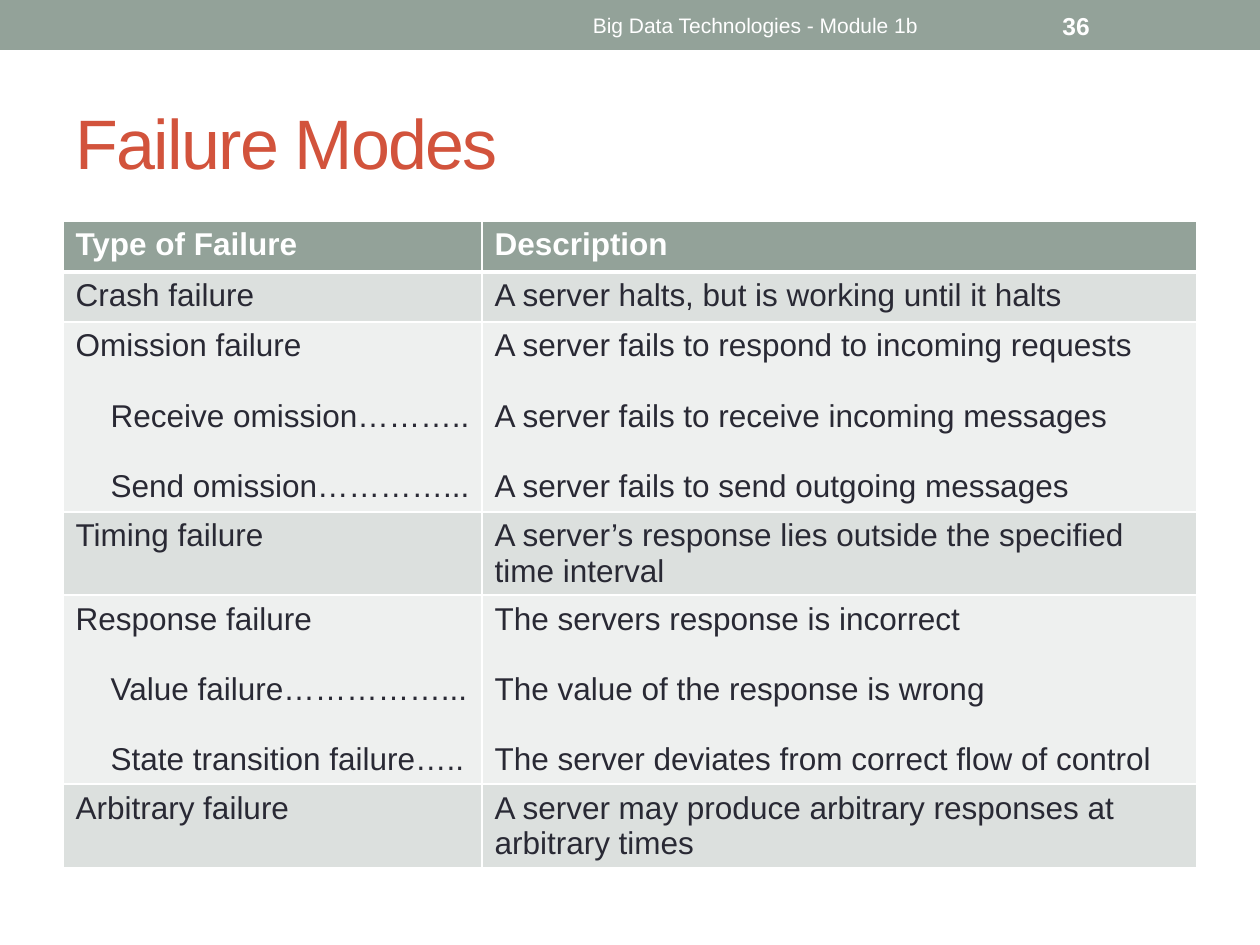
from dataclasses import dataclass

from lxml.etree import SubElement
from pptx import Presentation
from pptx.dml.color import RGBColor
from pptx.enum.shapes import MSO_SHAPE
from pptx.enum.text import MSO_ANCHOR, PP_ALIGN
from pptx.oxml.ns import qn
from pptx.util import Emu, Pt

SAGE, RUST, INK, WHITE = "93A299", "D2533C", "292934", "FFFFFF"
BANDS = ("DCE0DE", "EEF0EF")
COL_WIDTHS = (419, 715)


@dataclass
class Row:
    height: int
    modes: tuple[str, ...]
    descriptions: tuple[str, ...]


ROWS = (
    Row(51, ("Type of Failure",), ("Description",)),
    Row(50, ("Crash failure",), ("A server halts, but is working until it halts",)),
    Row(190,
        ("Omission failure", "Receive omission………..", "Send omission…………..."),
        ("A server fails to respond to incoming requests",
         "A server fails to receive incoming messages",
         "A server fails to send outgoing messages")),
    Row(83, ("Timing failure",),
        ("A server’s response lies outside the specified time interval",)),
    Row(189,
        ("Response failure", "Value failure……………...", "State transition failure….."),
        ("The servers response is incorrect",
         "The value of the response is wrong",
         "The server deviates from correct flow of control")),
    Row(82, ("Arbitrary failure",),
        ("A server may produce arbitrary responses at arbitrary times",)),
)


def px(n: int) -> Emu:
    return Emu(round(n * 914400 / 126))


def rgb(color: str) -> RGBColor:
    return RGBColor.from_string(color)


def style(p, size: int, color: str, bold: bool = False) -> None:
    for r in p.runs:
        r.font.name = "Arial"
        r.font.size = Pt(size)
        r.font.bold = bold
        r.font.color.rgb = rgb(color)


def set_borders(cell, top: int, bottom: int) -> None:
    """White borders; must be set before the fill to keep the XML order."""
    tc_pr = cell._tc.get_or_add_tcPr()
    for tag, width in (("lnL", 1), ("lnR", 1), ("lnT", top), ("lnB", bottom)):
        ln = SubElement(tc_pr, qn(f"a:{tag}"), w=str(Pt(width)))
        SubElement(SubElement(ln, qn("a:solidFill")), qn("a:srgbClr"), val=WHITE)


def fill_cell(cell, lines: tuple[str, ...], row: int, indent: int) -> None:
    header = row == 0
    set_borders(cell, top=3 if row == 1 else 1, bottom=3 if header else 1)
    cell.fill.solid()
    cell.fill.fore_color.rgb = rgb(SAGE if header else BANDS[(row - 1) % 2])
    cell.margin_right = px(6)
    tf = cell.text_frame
    tf.text = "\n".join(lines)
    for i, p in enumerate(tf.paragraphs):
        style(p, 18, WHITE if header else INK, header)
        if i:
            p.space_before = Pt(20)
            p._p.get_or_add_pPr().set("marL", str(px(indent)))


def add_failure_table(slide) -> None:
    height = sum(row.height for row in ROWS)
    table = slide.shapes.add_table(len(ROWS), 2, px(63), px(221),
                                   px(sum(COL_WIDTHS)), px(height)).table
    for column, width in zip(table.columns, COL_WIDTHS):
        column.width = px(width)
    for i, row in enumerate(ROWS):
        table.rows[i].height = px(row.height)
        fill_cell(table.cell(i, 0), row.modes, i, indent=35)
        fill_cell(table.cell(i, 1), row.descriptions, i, indent=0)


def add_band_text(slide, text: str, left: int, width: int, size: int,
                  align: PP_ALIGN, bold: bool = False) -> None:
    tf = slide.shapes.add_textbox(px(left), px(3), px(width), px(45)).text_frame
    tf.word_wrap = True
    tf.vertical_anchor = MSO_ANCHOR.MIDDLE
    tf.text = text
    p = tf.paragraphs[0]
    p.alignment = align
    style(p, size, WHITE, bold)


def add_title(slide, text: str) -> None:
    sp = slide.shapes.title
    sp.left, sp.top, sp.width, sp.height = px(63), px(73), px(1134), px(136)
    tf = sp.text_frame
    tf.vertical_anchor = MSO_ANCHOR.MIDDLE
    tf.text = text
    p = tf.paragraphs[0]
    p.alignment = PP_ALIGN.LEFT
    style(p, 40, RUST)
    p.runs[0].font._element.set("spc", "-100")


def main() -> None:
    prs = Presentation()
    prs.slide_width, prs.slide_height = px(1260), px(945)
    slide = prs.slides.add_slide(prs.slide_layouts[5])

    band = slide.shapes.add_shape(MSO_SHAPE.RECTANGLE, 0, 0, px(1260), px(50))
    band.shadow.inherit = False
    band.fill.solid()
    band.fill.fore_color.rgb = rgb(SAGE)
    band.line.fill.background()

    add_title(slide, "Failure Modes")
    add_failure_table(slide)
    add_band_text(slide, "Big Data Technologies - Module 1b", 472, 567, 12,
                  PP_ALIGN.CENTER)
    add_band_text(slide, "36", 1050, 147, 14, PP_ALIGN.LEFT, bold=True)
    prs.save("out.pptx")


if __name__ == "__main__":
    main()
